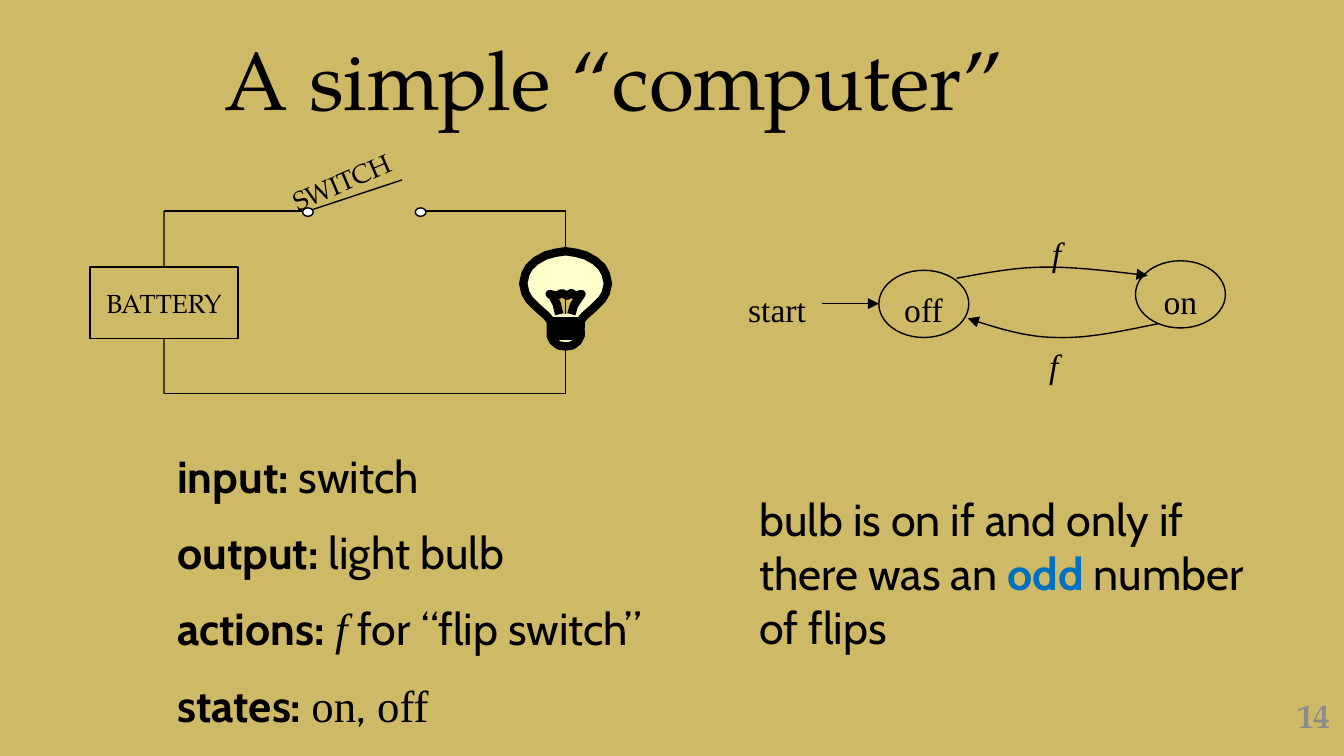
from lxml import etree
from pptx import Presentation
from pptx.dml.color import RGBColor
from pptx.enum.shapes import MSO_CONNECTOR, MSO_SHAPE
from pptx.enum.text import MSO_ANCHOR, PP_ALIGN
from pptx.oxml.ns import qn
from pptx.util import Cm, Pt

STRAIGHT = MSO_CONNECTOR.STRAIGHT
OVAL, RECT = MSO_SHAPE.OVAL, MSO_SHAPE.RECTANGLE
TOP, MIDDLE = MSO_ANCHOR.TOP, MSO_ANCHOR.MIDDLE
LEFT, CENTER, RIGHT = PP_ALIGN.LEFT, PP_ALIGN.CENTER, PP_ALIGN.RIGHT
GOLD = RGBColor(0xCE, 0xB9, 0x66)
CREAM = RGBColor(0xFF, 0xFF, 0xCC)
WHITE = RGBColor(0xFF, 0xFF, 0xFF)
BLACK = RGBColor(0, 0, 0)
BLUE = RGBColor(0x00, 0x70, 0xC0)
GRAY = RGBColor(0x8C, 0x8C, 0x8C)
SERIF, SANS, TIMES = "TeX Gyre Pagella", "Cabin", "Times New Roman"


def write(tf, paragraphs, size=18, font=TIMES, color=BLACK, bold=False, italic=False,
          align=LEFT, anchor=TOP, wrap=False, gap=0):
    """Fill a text frame; a paragraph is a list of (text, format overrides) runs."""
    tf.word_wrap = wrap
    tf.vertical_anchor = anchor
    for i, runs in enumerate(paragraphs):
        p = tf.add_paragraph() if i else tf.paragraphs[0]
        p.alignment = align
        if i:
            p.space_before = Pt(gap)
        for text, fmt in runs:
            r = p.add_run()
            r.text = text
            r.font.size = Pt(size)
            r.font.name = fmt.get("font", font)
            r.font.bold = fmt.get("bold", bold)
            r.font.italic = fmt.get("italic", italic)
            r.font.color.rgb = fmt.get("color", color)


def outline(sp, width=0.75, fill=None, arrow=None):
    """Black line without shadow; arrow is None, "headEnd" (start) or "tailEnd" (finish)."""
    sp.line.color.rgb = BLACK
    sp.line.width = Pt(width)
    if arrow:
        etree.SubElement(sp.line._get_or_add_ln(), qn("a:" + arrow), type="triangle")
    if hasattr(sp, "begin_x"):
        etree.SubElement(sp._element.spPr, qn("a:effectLst"))
        return
    sp.shadow.inherit = False
    if fill is None:
        sp.fill.background()
    else:
        sp.fill.solid()
        sp.fill.fore_color.rgb = fill


prs = Presentation()
prs.slide_width, prs.slide_height = Cm(25.4), Cm(14.29)
s = prs.slides.add_slide(prs.slide_layouts[5])
s.background.fill.solid()
s.background.fill.fore_color.rgb = GOLD

title = s.shapes.title
title.left, title.top, title.width, title.height = Cm(0), Cm(0.53), Cm(23.22), Cm(1.37)
title.text_frame.margin_top = title.text_frame.margin_bottom = 0
write(title.text_frame, [[("A simple “computer”", {})]], size=44, font=SERIF,
      align=CENTER, wrap=True)

# Circuit: battery, wires, switch
X1, X2, Y1, Y2 = 3.1, 10.69, 3.99, 7.44
battery = s.shapes.add_shape(RECT, Cm(1.7), Cm(5.05), Cm(2.8), Cm(1.35))
outline(battery, fill=GOLD)
write(battery.text_frame, [[("BATTERY", {})]], size=14, font=SERIF, align=CENTER, anchor=MIDDLE)

# start x, start y, end x, end y, battery side joined at the end
wires = [
    (X1, Y1, 5.7, Y1, None), (X1, Y1, X1, 5.05, 0), (X1, Y2, X1, 6.4, 2),
    (X1, Y2, X2, Y2, None), (7.9, Y1, X2, Y1, None), (X2, Y1, X2, Y2, None),
    (5.82, Y1, 7.6, 3.4, None),
]
for x1, y1, x2, y2, side in wires:
    wire = s.shapes.add_connector(STRAIGHT, Cm(x1), Cm(y1), Cm(x2), Cm(y2))
    if side is not None:
        wire.end_connect(battery, side)
    outline(wire)
for x in (5.72, 7.85):
    contact = s.shapes.add_shape(OVAL, Cm(x), Cm(3.93), Cm(0.2), Cm(0.16))
    outline(contact, fill=WHITE)

# Light bulb: right half of the glass, mirrored about X2, then filament and screw cap
half = [(0, 4.75), (0.2, 4.78), (0.38, 4.83), (0.56, 4.93), (0.69, 5.05), (0.76, 5.18),
        (0.8, 5.36), (0.76, 5.54), (0.69, 5.66), (0.53, 5.82), (0.36, 5.97), (0.28, 6.07),
        (0.28, 6.35), (0.23, 6.45), (0.13, 6.53), (0, 6.55)]
glass = half + [(-x, y) for x, y in half[-2:0:-1]]
filament = [(-0.12, 5.94), (-0.17, 5.74), (-0.25, 5.59), (-0.3, 5.56), (-0.17, 5.59),
            (-0.07, 5.54), (0.03, 5.59), (0.11, 5.54), (0.18, 5.59), (0.3, 5.56),
            (0.16, 5.77), (0.11, 5.94)]
cap = [(-0.28, 6.07), (0.28, 6.07), (0.28, 6.17), (-0.28, 6.17),
       (-0.28, 6.27), (0.28, 6.27), (0.28, 6.35), (-0.28, 6.35)]
builder = s.shapes.build_freeform(Cm(X2), Cm(4.75))
for path, closed in ((glass, True), (filament, False), (cap, False)):
    points = [(Cm(X2 + x), Cm(y)) for x, y in path]
    builder.move_to(*points[0])
    builder.add_line_segments(points[1:], close=closed)
outline(builder.convert_to_shape(), width=4.5, fill=CREAM)

# State machine
for x, y in ((16.61, 5.11), (21.46, 4.93)):
    outline(s.shapes.add_shape(OVAL, Cm(x), Cm(y), Cm(1.7), Cm(1.27)))
start = s.shapes.add_connector(STRAIGHT, Cm(15.54), Cm(5.74), Cm(16.61), Cm(5.74))
outline(start, arrow="tailEnd")

# Each transition is two cubic Bézier spans, drawn in short steps
STEPS = 16
transitions = [
    ([(18.08, 5.26), (18.64, 5.16), (19.18, 5.05), (19.79, 5.05),
      (20.37, 5.05), (21.03, 5.13), (21.69, 5.21)], "tailEnd"),
    ([(18.29, 6.02), (18.85, 6.2), (19.38, 6.38), (19.99, 6.38),
      (20.6, 6.4), (21.23, 6.25), (21.89, 6.12)], "headEnd"),
]
for controls, arrow in transitions:
    points = []
    for span in (controls[:4], controls[3:]):
        for t in (n / STEPS for n in range(1, STEPS + 1)):
            weights = ((1 - t) ** 3, 3 * t * (1 - t) ** 2, 3 * t * t * (1 - t), t ** 3)
            points.append([Cm(sum(w * c[axis] for w, c in zip(weights, span)))
                           for axis in (0, 1)])
    builder = s.shapes.build_freeform(Cm(controls[0][0]), Cm(controls[0][1]))
    builder.add_line_segments(points, close=False)
    outline(builder.convert_to_shape(), arrow=arrow)

# text, left, top, width, height, rotation, format
labels = [
    ("SWITCH", 5.23, 3, 2.51, 0.86, 336.7, {"size": 14, "font": SERIF}),
    ("off", 16.84, 5.33, 1.24, 1.02, 0, {}),
    ("on", 21.74, 5.18, 1.17, 1.02, 0, {}),
    ("start", 13.89, 5.33, 1.6, 1.02, 0, {}),
    ("f", 19.63, 4.27, 0.66, 1.02, 0, {"italic": True}),
    ("f", 19.58, 6.4, 0.66, 1.02, 0, {"italic": True}),
    ("14", 19.48, 13.13, 5.92, 0.76, 0,
     {"font": SERIF, "color": GRAY, "bold": True, "align": RIGHT, "anchor": MIDDLE, "wrap": True}),
]
for text, x, y, w, h, angle, fmt in labels:
    label = s.shapes.add_textbox(Cm(x), Cm(y), Cm(w), Cm(h))
    label.rotation = angle
    write(label.text_frame, [[(text, {})]], **fmt)

# Descriptions
strong = {"bold": True}
summary = [
    [("input:", strong), (" switch", {})],
    [("output:", strong), (" light bulb", {})],
    [("actions: ", strong), ("f", {"font": TIMES, "italic": True}), (" for “flip switch”", {})],
    [("states: ", strong), ("on", {"font": TIMES}), (",", {}), (" off", {"font": TIMES})],
]
conclusion = [[("bulb is on if and only if there was an ", {}),
               ("odd", {"bold": True, "color": BLUE}), (" number of flips", {})]]
for paragraphs, x, y, h in ((summary, 3.1, 8.36, 5.89), (conclusion, 14.1, 9.17, 3.33)):
    box = s.shapes.add_textbox(Cm(x), Cm(y), Cm(10), Cm(h))
    write(box.text_frame, paragraphs, size=24, font=SANS, wrap=True, gap=12)

prs.save("out.pptx")
